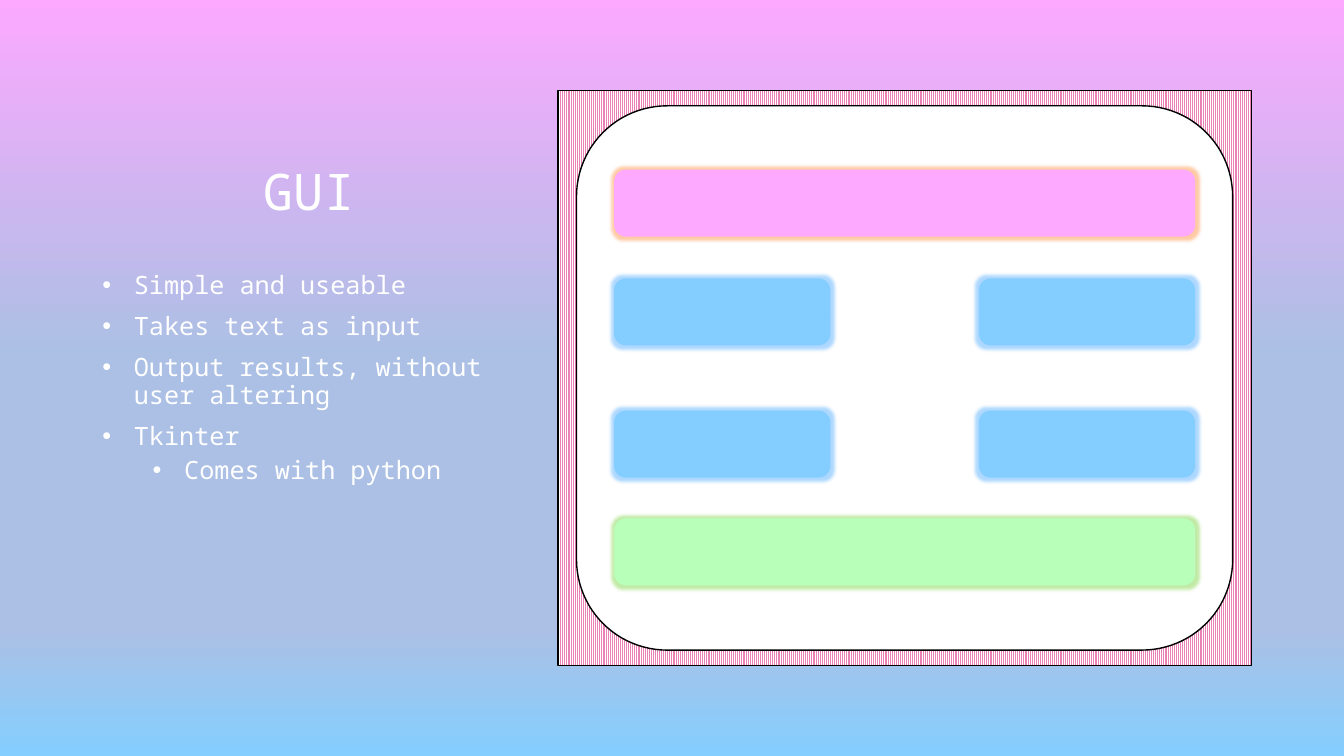
from lxml.etree import SubElement
from pptx import Presentation
from pptx.dml.color import RGBColor
from pptx.enum.dml import MSO_PATTERN
from pptx.enum.shapes import MSO_SHAPE
from pptx.enum.text import MSO_ANCHOR, PP_ALIGN
from pptx.oxml.ns import qn
from pptx.util import Pt

COLORS = {
    "pink": "FCA9FF", "lavender": "ABC0E4", "blue": "84CEFF", "green": "B8FFB9",
    "stripe": "E981B5", "white": "FFFFFF", "black": "000000",
    "pink glow": "FF7A1E", "blue glow": "319DFF", "green glow": "66CC22",
}


class GuiSlide:
    font = "Noto Sans Mono"

    def __init__(self, deck):
        self.slide = deck.slides.add_slide(deck.slide_layouts[6])

    def rgb(self, name):
        return RGBColor.from_string(COLORS[name])

    def background(self, stops):
        fill = self.slide.background.fill
        fill.gradient()
        fill.gradient_angle = 270
        stop_list = next(self.slide.element.iter(qn("a:gsLst")))
        stop_list.clear()
        for percent, color in stops:
            stop = SubElement(stop_list, qn("a:gs"), pos=str(percent * 1000))
            SubElement(stop, qn("a:srgbClr"), val=COLORS[color])

    def panel(self, kind, left, top, width, height, color, line, stripe=None):
        panel = self.slide.shapes.add_shape(
            kind, Pt(left), Pt(top), Pt(width), Pt(height))
        panel.shadow.inherit = False
        if stripe:
            panel.fill.patterned()
            panel.fill.pattern = MSO_PATTERN.LIGHT_VERTICAL
            panel.fill.fore_color.rgb = self.rgb(stripe)
            panel.fill.back_color.rgb = self.rgb(color)
        else:
            panel.fill.solid()
            panel.fill.fore_color.rgb = self.rgb(color)
        panel.line.color.rgb = self.rgb(line)
        panel.line.width = Pt(1)
        return panel

    def field(self, left, top, width, color):
        field = self.panel(MSO_SHAPE.ROUNDED_RECTANGLE, left, top, width, 46.8, color, color)
        effects = next(field.element.iter(qn("a:effectLst")))
        glow = SubElement(effects, qn("a:glow"), rad=str(Pt(5)))
        tint = SubElement(glow, qn("a:srgbClr"), val=COLORS[f"{color} glow"])
        SubElement(tint, qn("a:alpha"), val="40000")

    def frame(self, left, top, width, height, anchor):
        frame = self.slide.shapes.add_textbox(
            Pt(left), Pt(top), Pt(width), Pt(height)).text_frame
        frame.word_wrap = True
        frame.vertical_anchor = anchor
        return frame

    def add_words(self, paragraph, words, size):
        paragraph.line_spacing = 0.9
        run = paragraph.add_run()
        run.text = words
        run.font.name = self.font
        run.font.size = Pt(size)
        run.font.color.rgb = self.rgb("white")

    def title(self, words, *place):
        heading = self.frame(*place, MSO_ANCHOR.BOTTOM).paragraphs[0]
        heading.alignment = PP_ALIGN.CENTER
        self.add_words(heading, words, 36)

    def bullets(self, points, *place):
        frame = self.frame(*place, MSO_ANCHOR.TOP)
        for index, (level, words) in enumerate(points):
            point = frame.add_paragraph() if index else frame.paragraphs[0]
            point.level = level
            indent = point._p.get_or_add_pPr()
            indent.set("marL", str(Pt(22.5 + 36 * level)))
            indent.set("indent", str(Pt(-22.5)))
            SubElement(indent, qn("a:buFont"), typeface="Arial")
            SubElement(indent, qn("a:buChar"), char="•")
            if index:
                point.space_before = Pt(5 if level else 10)
            self.add_words(point, words, 18)


def main():
    deck = Presentation()
    deck.slide_width, deck.slide_height = Pt(960), Pt(540)
    gui = GuiSlide(deck)
    gui.background([(0, "pink"), (47, "lavender"), (83, "lavender"), (100, "blue")])
    gui.title("GUI", 66, 36, 309.6, 126)
    gui.bullets([
        (0, "Simple and useable"),
        (0, "Takes text as input"),
        (0, "Output results, without user altering"),
        (0, "Tkinter"),
        (1, "Comes with python"),
    ], 66, 191.2, 309.6, 271)

    gui.panel(MSO_SHAPE.RECTANGLE, 398.6, 64.8, 495.4, 410.4, "white", "black", "stripe")
    gui.panel(MSO_SHAPE.ROUNDED_RECTANGLE, 411.8, 75.6, 468.7, 388.8, "white", "black")

    left, width, button_width = 439.2, 414, 153.4
    gui.field(left, 121.7, width, "pink")
    gui.field(left, 370.8, width, "green")
    for button_left in (left, left + width - button_width):
        for button_top in (293.8, 199.4):
            gui.field(button_left, button_top, button_width, "blue")
    deck.save("out.pptx")


if __name__ == "__main__":
    main()
